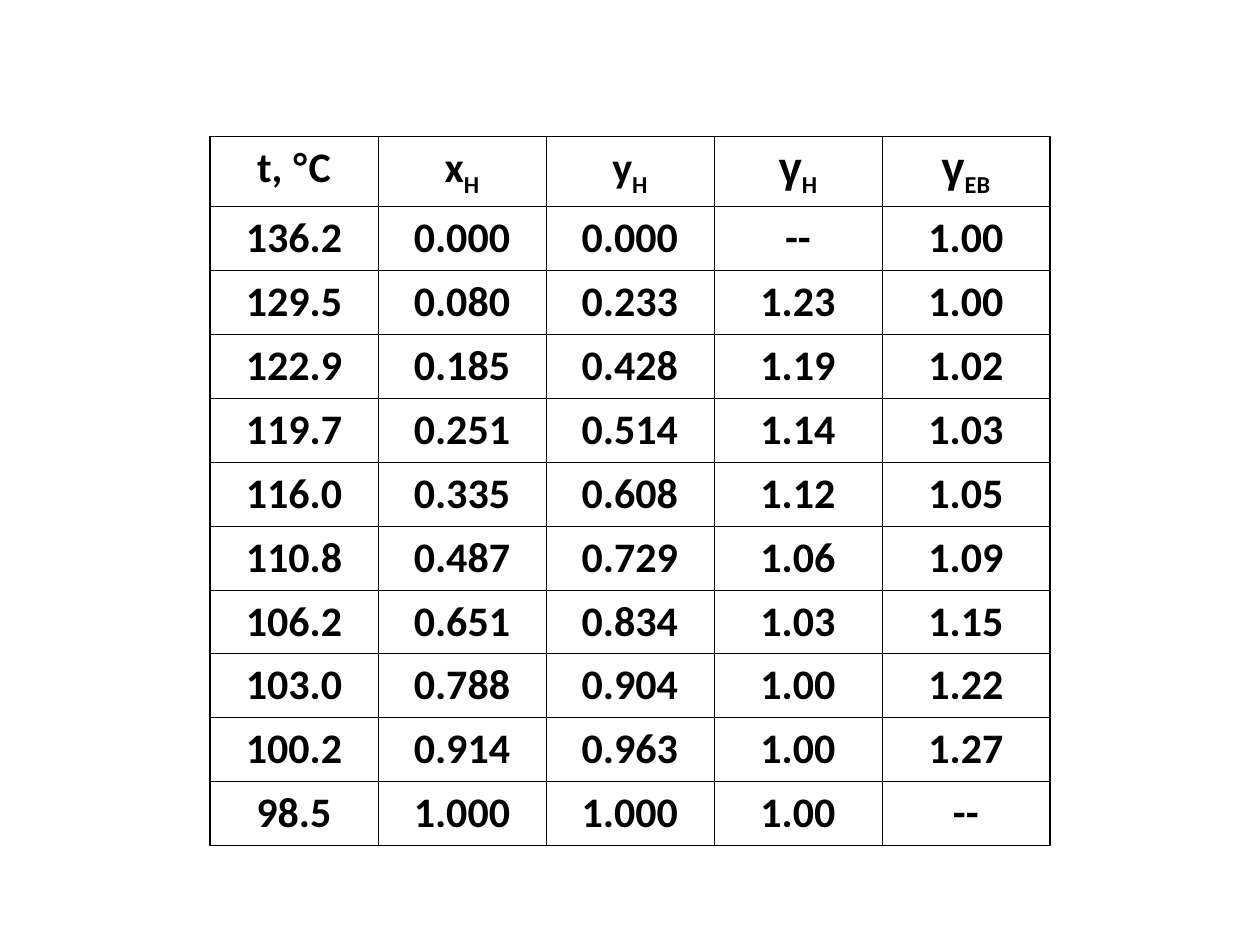
"""Build a slide with a table of vapour-liquid equilibrium data."""
from dataclasses import dataclass

from lxml.etree import SubElement
from pptx import Presentation
from pptx.dml.color import RGBColor
from pptx.enum.text import PP_ALIGN
from pptx.oxml.ns import qn
from pptx.util import Pt

HEADINGS = [
    [("t, ", "body"), ("°", "symbol"), ("C", "body")],
    [("x", "body"), ("H", "subscript")],
    [("y", "body"), ("H", "subscript")],
    [("γ", "symbol"), ("H", "subscript")],
    [("γ", "symbol"), ("EB", "subscript")],
]
MEASUREMENTS = [
    ("136.2", "0.000", "0.000", "--", "1.00"),
    ("129.5", "0.080", "0.233", "1.23", "1.00"),
    ("122.9", "0.185", "0.428", "1.19", "1.02"),
    ("119.7", "0.251", "0.514", "1.14", "1.03"),
    ("116.0", "0.335", "0.608", "1.12", "1.05"),
    ("110.8", "0.487", "0.729", "1.06", "1.09"),
    ("106.2", "0.651", "0.834", "1.03", "1.15"),
    ("103.0", "0.788", "0.904", "1.00", "1.22"),
    ("100.2", "0.914", "0.963", "1.00", "1.27"),
    ("98.5", "1.000", "1.000", "1.00", "--"),
]


@dataclass(frozen=True)
class Theme:
    ink: str = "000000"
    body_font: str = "Calibri"
    symbol_font: str = "Arial"
    text_size: float = 24
    subscript_shift: int = -25000
    outer_line: float = 1.08
    inner_line: float = 0.45


THEME = Theme()
PAGE_WIDTH, PAGE_HEIGHT = 720, 540
TABLE_TOP = 78
COLUMN_WIDTH = 96
HEADING_HEIGHT, ROW_HEIGHT = 40, 36.2


def draw_borders(cell, outer_sides):
    properties = cell._tc.get_or_add_tcPr()
    for position, side in enumerate("LRTB"):
        width = THEME.outer_line if side in outer_sides else THEME.inner_line
        line = SubElement(properties, qn(f"a:ln{side}"), w=str(int(Pt(width))))
        fill = SubElement(line, qn("a:solidFill"))
        SubElement(fill, qn("a:srgbClr"), val=THEME.ink)
        properties.insert(position, line)


def write_cell(cell, spans):
    cell.fill.background()
    para = cell.text_frame.paragraphs[0]
    para.alignment = PP_ALIGN.CENTER
    font = para.font
    font.name, font.size, font.bold = THEME.body_font, Pt(THEME.text_size), True
    font.color.rgb = RGBColor.from_string(THEME.ink)
    for text, style in spans:
        span = para.add_run()
        span.text = text
        if style == "symbol":
            span.font.name = THEME.symbol_font
        elif style == "subscript":
            span.font._element.set("baseline", str(THEME.subscript_shift))


def main():
    deck = Presentation()
    deck.slide_width, deck.slide_height = Pt(PAGE_WIDTH), Pt(PAGE_HEIGHT)
    page = deck.slides.add_slide(deck.slide_layouts[6])

    rows = [HEADINGS] + [[[(value, "body")] for value in row] for row in MEASUREMENTS]
    last_row, last_column = len(rows) - 1, len(HEADINGS) - 1
    width = COLUMN_WIDTH * len(HEADINGS)
    height = HEADING_HEIGHT + ROW_HEIGHT * len(MEASUREMENTS)
    table = page.shapes.add_table(
        len(rows), len(HEADINGS),
        Pt((PAGE_WIDTH - width) / 2), Pt(TABLE_TOP), Pt(width), Pt(height),
    ).table
    table.first_row = table.horz_banding = False

    for column in table.columns:
        column.width = Pt(COLUMN_WIDTH)
    for r, row in enumerate(rows):
        table.rows[r].height = Pt(ROW_HEIGHT if r else HEADING_HEIGHT)
        for c, spans in enumerate(row):
            cell = table.cell(r, c)
            write_cell(cell, spans)
            edges = {"L": c == 0, "R": c == last_column, "T": r == 0, "B": r == last_row}
            draw_borders(cell, {side for side, outer in edges.items() if outer})

    deck.save("out.pptx")


if __name__ == "__main__":
    main()
